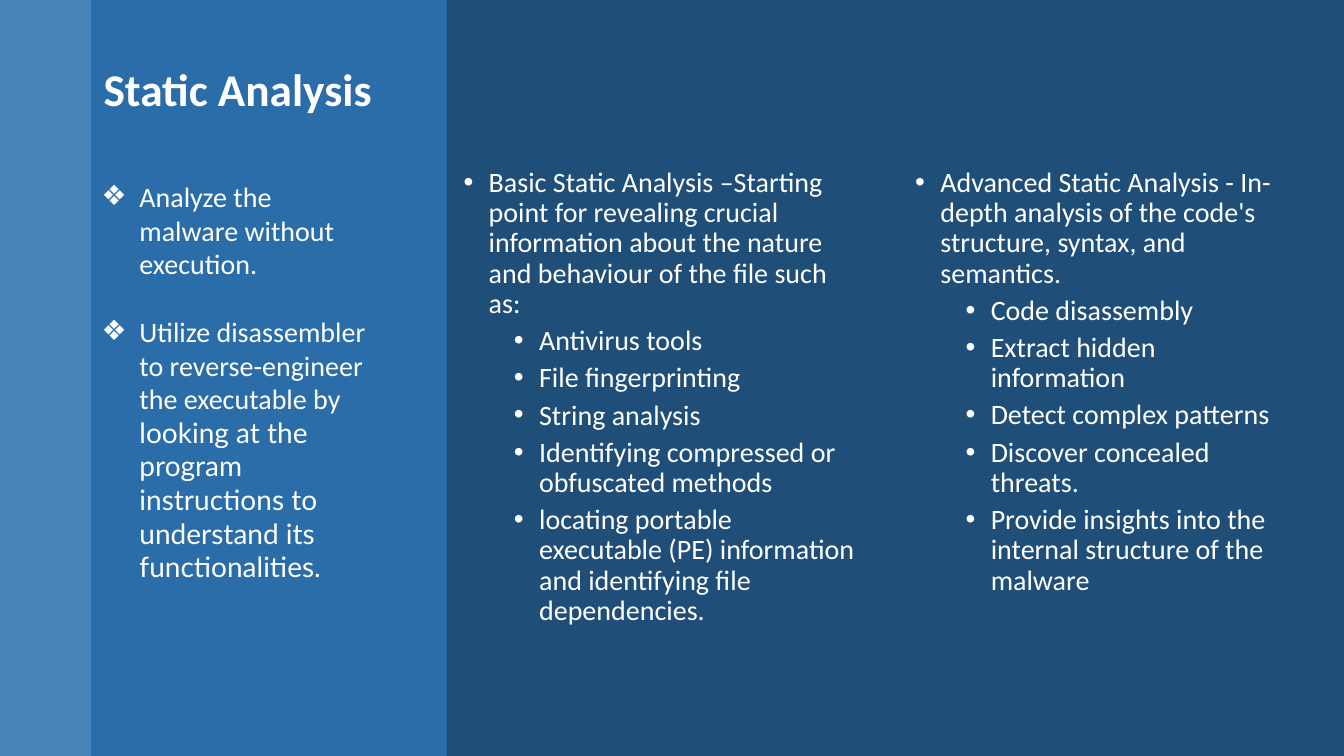
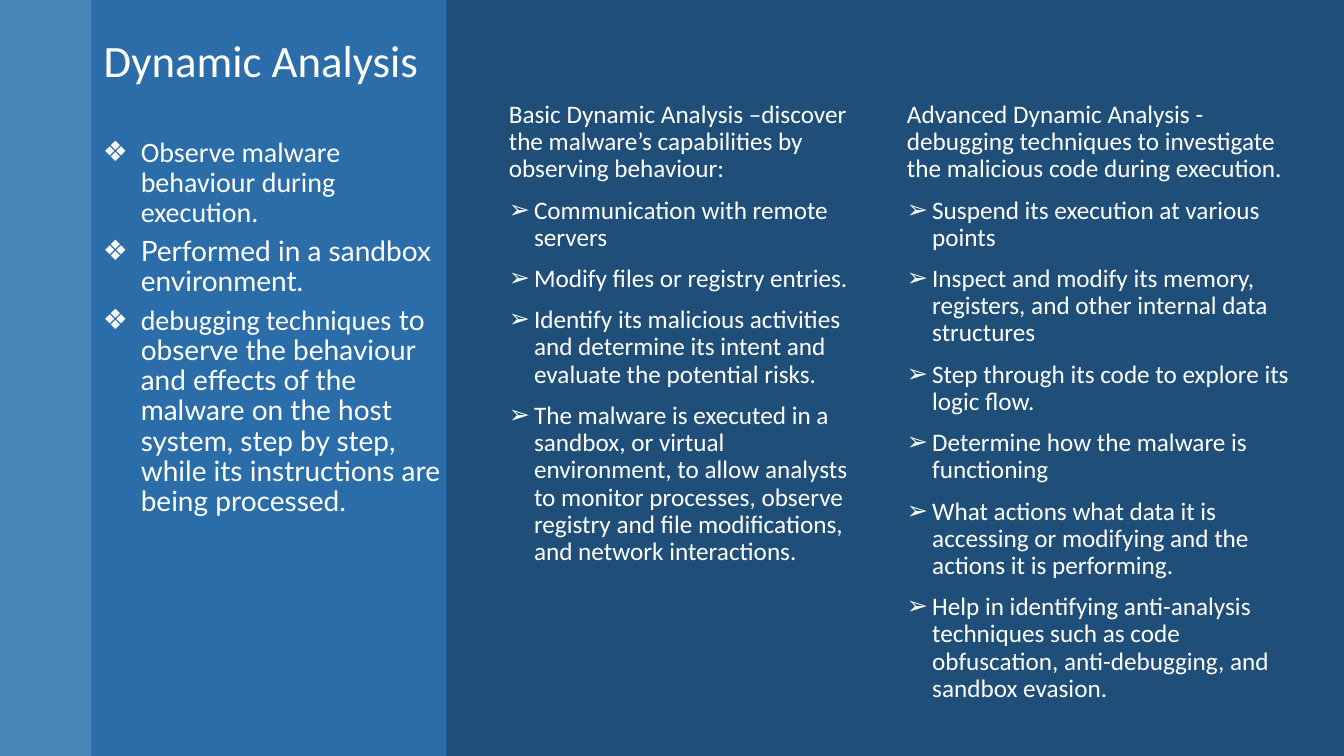
from lxml.etree import SubElement
from pptx import Presentation
from pptx.dml.color import RGBColor
from pptx.enum.shapes import MSO_SHAPE as SHAPE
from pptx.enum.text import MSO_ANCHOR as ANCHOR, PP_ALIGN as ALIGN
from pptx.oxml.ns import qn
from pptx.util import Pt

NAVY = RGBColor(0x1F, 0x4E, 0x79)
SKY = RGBColor(0x5B, 0x9B, 0xD5)
BLUE = RGBColor(0x2E, 0x75, 0xB6)
WHITE = RGBColor(0xFF, 0xFF, 0xFF)
BODY_FONT = "Calibri"
ALT_FONT = "Lato"

WIDTH, HEIGHT = 960, 540
BANDS = [(65.5, SKY, 70), (253.5, BLUE, 80)]

STYLES = {
    "title_center": dict(size=32.4, bold=True, indent=(4.3, 0),
                         format=dict(alignment=ALIGN.CENTER, line_spacing=0.9)),
    "title_right": dict(size=32, format=dict(alignment=ALIGN.RIGHT, line_spacing=0.9)),
    "side_loose": dict(size=20, bullet="❖", indent=(27, -27),
                       format=dict(space_before=Pt(24.4))),
    "side_tight": dict(size=20, bullet="❖", indent=(31.5, -27),
                       format=dict(line_spacing=0.9, space_after=Pt(6))),
    "point": dict(size=20, bullet="•", indent=(18, -18),
                  format=dict(line_spacing=0.9, space_before=Pt(10))),
    "subpoint": dict(size=20, bullet="•", indent=(54, -18),
                     format=dict(level=1, line_spacing=0.9, space_before=Pt(5))),
    "lead": dict(size=18, format=dict(line_spacing=0.9, space_before=Pt(10))),
    "arrow": dict(size=18, bullet="➢", indent=(18, -18),
                  format=dict(line_spacing=0.9, space_before=Pt(10))),
}

STATIC = [
    ((44.6, 44.6, 246.2, 59), "title_center", "title_center", ["Static Analysis"]),
    ((65.5, 124.6, 207.4, 322.6), "side_loose", "side_loose", [
        "Analyze the malware without execution.",
        [("Utilize disassembler to reverse-engineer the executable by ", BODY_FONT),
         ("looking at the program instructions to understand its functionalities.", ALT_FONT)],
    ]),
    ((324, 116.6, 298, 423.4), "point", "subpoint", [
        "Basic Static Analysis –Starting point for revealing crucial information about "
        "the nature and behaviour of the file such as:",
        "Antivirus tools",
        "File fingerprinting",
        "String analysis",
        "Identifying compressed or obfuscated methods",
        "locating portable executable (PE) information and identifying file dependencies.",
    ]),
    ((646.6, 116.6, 274.3, 404), "point", "subpoint", [
        "Advanced Static Analysis - In-depth analysis of the code's structure, syntax, "
        "and semantics.",
        "Code disassembly",
        "Extract hidden information",
        "Detect complex patterns",
        "Discover concealed threats.",
        "Provide insights into the internal structure of the malware",
    ]),
]

DYNAMIC = [
    ((46, 24.5, 260, 53.3), "title_right", "title_right", ["Dynamic Analysis"]),
    ((62, 95, 260, 309), "side_tight", "side_tight", [
        "Observe malware behaviour during execution.",
        [("Performed in a sandbox environment.", ALT_FONT)],
        [("debugging techniques", BODY_FONT),
         (" to observe the behaviour and effects of the malware on the host system, "
          "step by step, while its instructions are being processed.", ALT_FONT)],
    ]),
    ((356.4, 69, 269.3, 442), "lead", "arrow", [
        "Basic Dynamic Analysis –discover the malware’s capabilities by observing behaviour:",
        "Communication with remote servers",
        "Modify files or registry entries.",
        "Identify its malicious activities and determine its intent and evaluate the "
        "potential risks.",
        "The malware is executed in a sandbox, or virtual environment, to allow analysts "
        "to monitor processes, observe registry and file modifications, and network "
        "interactions.",
    ]),
    ((640.8, 69, 296, 442), "lead", "arrow", [
        "Advanced Dynamic Analysis - debugging techniques to investigate the malicious "
        "code during execution.",
        "Suspend its execution at various points",
        "Inspect and modify its memory, registers, and other internal data structures",
        "Step through its code to explore its logic flow.",
        "Determine how the malware is functioning",
        "What actions what data it is accessing or modifying and the actions it is performing.",
        "Help in identifying anti-analysis techniques such as code obfuscation, "
        "anti-debugging, and sandbox evasion.",
    ]),
]


def add_bands(s):
    left = 0
    for width, color, alpha in BANDS:
        sp = s.shapes.add_shape(SHAPE.RECTANGLE, Pt(left), Pt(0), Pt(width), Pt(HEIGHT))
        sp.shadow.inherit = False
        sp.line.fill.background()
        sp.fill.solid()
        sp.fill.fore_color.rgb = color
        clr = next(sp.element.spPr.iter(qn("a:srgbClr")))
        SubElement(clr, qn("a:alpha"), val=str(alpha * 1000))
        left += width


def write_paragraph(p, content, style, is_first):
    pPr = p._p.get_or_add_pPr()
    margin, hanging = style.get("indent", (0, 0))
    pPr.set("marL", str(Pt(margin)))
    pPr.set("indent", str(Pt(hanging)))
    if "bullet" in style:
        SubElement(pPr, qn("a:buFont"), typeface="Arial")
        SubElement(pPr, qn("a:buChar"), char=style["bullet"])
    else:
        SubElement(pPr, qn("a:buNone"))
    for name, value in style["format"].items():
        if not (is_first and name == "space_before"):
            setattr(p, name, value)
    runs = [(content, BODY_FONT)] if isinstance(content, str) else content
    for text, font in runs:
        r = p.add_run()
        r.text = text
        r.font.color.rgb = WHITE
        look = dict(name=font, size=Pt(style["size"]), bold=style.get("bold", False))
        for name, value in look.items():
            setattr(r.font, name, value)


def add_text(s, box, first_style, other_style, paragraphs):
    tf = s.shapes.add_textbox(*map(Pt, box)).text_frame
    tf.word_wrap = True
    tf.vertical_anchor = ANCHOR.TOP
    for i, content in enumerate(paragraphs):
        p = tf.add_paragraph() if i else tf.paragraphs[0]
        write_paragraph(p, content, STYLES[other_style if i else first_style], i == 0)


def main():
    prs = Presentation()
    prs.slide_width, prs.slide_height = Pt(WIDTH), Pt(HEIGHT)
    for blocks in (STATIC, DYNAMIC):
        s = prs.slides.add_slide(prs.slide_layouts[6])
        s.background.fill.solid()
        s.background.fill.fore_color.rgb = NAVY
        add_bands(s)
        for block in blocks:
            add_text(s, *block)
    prs.save("out.pptx")


if __name__ == "__main__":
    main()
